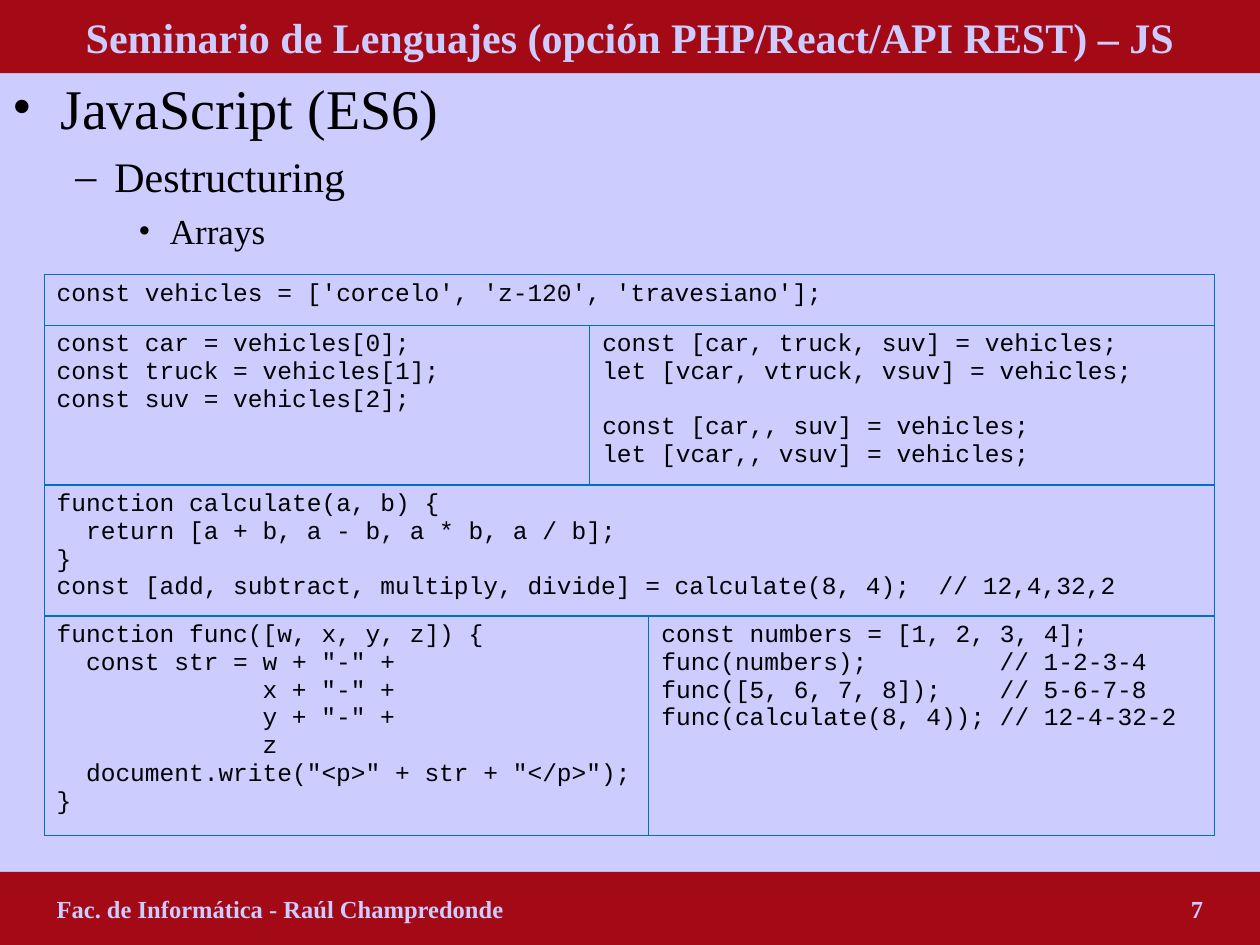
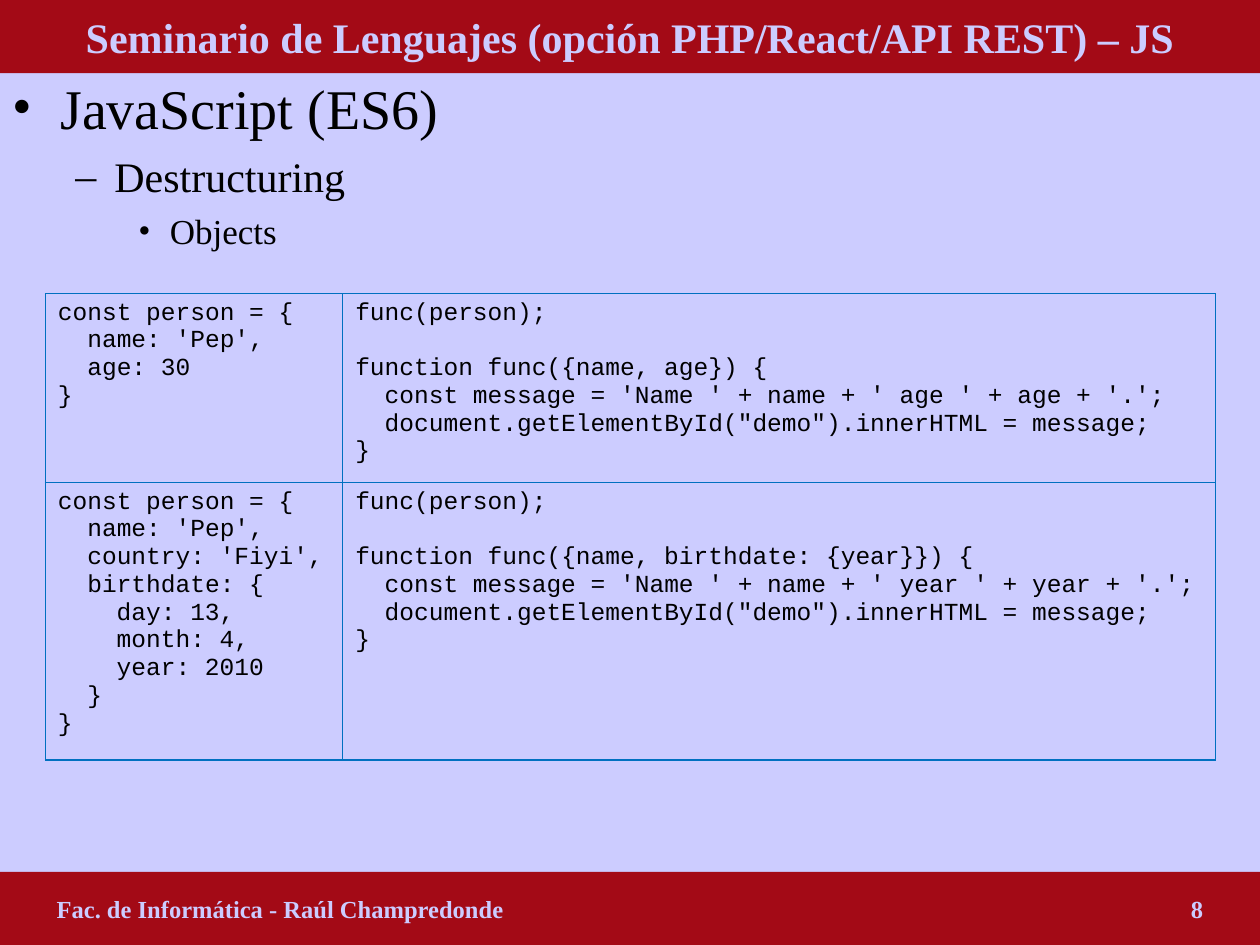
from dataclasses import dataclass
from typing import NamedTuple

from lxml.etree import SubElement
from pptx import Presentation
from pptx.dml.color import RGBColor
from pptx.enum.shapes import MSO_SHAPE as Preset
from pptx.enum.text import MSO_ANCHOR as Anchor, PP_ALIGN as Align
from pptx.oxml.ns import qn
from pptx.util import Inches, Pt

WIDTH, HEIGHT = 10, 7.5
BAND_HEIGHT = 0.58
LAVENDER, CRIMSON, BLACK, BORDER_BLUE = "CCCCFF", "A30A16", "000000", "0070C0"
SERIF, MONO = "Times New Roman", "Courier New"
TITLE = "Seminario de Lenguajes (opción PHP/React/API REST) – JS"
AUTHOR = "Fac. de Informática - Raúl Champredonde"
CODE_SIZE = 14
CHAR_WIDTH = CODE_SIZE * 0.6
LINE_HEIGHT = 15.85


class Level(NamedTuple):
    bullet: str
    size: int
    margin: float
    hang: float
    before: int


LEVELS = (
    Level("•", 32, 0.38, 0.38, 8),
    Level("–", 24, 0.81, 0.31, 6),
    Level("•", 20, 1.25, 0.25, 5),
)


class Line(NamedTuple):
    text: str
    indent: int = 0
    gap: int = 0
    comment_column: int = 0


class Block(NamedTuple):
    row: int
    first: int
    last: int
    lines: tuple[Line, ...]


@dataclass
class CodeTable:
    left: float
    top: float
    columns: tuple[float, ...]
    rows: tuple[float, ...]
    blocks: tuple[Block, ...]


@dataclass
class Lesson:
    number: int
    topic: str
    table: CodeTable


def color(value: str) -> RGBColor:
    return RGBColor.from_string(value)


def add_span(para, text: str, size: int, font: str, ink: str, bold: bool = False) -> None:
    span = para.add_run()
    span.text = text
    span.font.size = Pt(size)
    span.font.name = font
    span.font.bold = bold
    span.font.color.rgb = color(ink)


def add_tab(para, position: int, align: str) -> None:
    tabs = SubElement(para._p.get_or_add_pPr(), qn("a:tabLst"))
    SubElement(tabs, qn("a:tab"), pos=str(position), algn=align)


def add_band(page, top: float):
    band = page.shapes.add_shape(
        Preset.RECTANGLE, 0, Inches(top), Inches(WIDTH), Inches(BAND_HEIGHT))
    band.shadow.inherit = False
    band.fill.solid()
    band.fill.fore_color.rgb = color(CRIMSON)
    band.line.fill.background()
    band.text_frame.vertical_anchor = Anchor.MIDDLE
    return band.text_frame


def add_frame(page, number: int) -> None:
    title = add_band(page, 0).paragraphs[0]
    title.alignment = Align.CENTER
    add_span(title, TITLE, 24, SERIF, LAVENDER, True)

    frame = add_band(page, HEIGHT - BAND_HEIGHT)
    frame.margin_left = Inches(0.45)
    footer = frame.paragraphs[0]
    footer.alignment = Align.LEFT
    add_tab(footer, Inches(WIDTH - 2 * 0.45), "r")
    add_span(footer, f"{AUTHOR}\t{number}", 14, SERIF, LAVENDER, True)


def add_outline(page, topic: str) -> None:
    box = page.shapes.add_textbox(
        0, Inches(BAND_HEIGHT), Inches(WIDTH), Inches(HEIGHT - 2 * BAND_HEIGHT))
    frame = box.text_frame
    frame.word_wrap = True
    frame.margin_top = 0
    headings = ("JavaScript (ES6)", "Destructuring", topic)
    for depth, (level, heading) in enumerate(zip(LEVELS, headings)):
        para = frame.add_paragraph() if depth else frame.paragraphs[0]
        para.level = depth
        para.space_before = Pt(level.before)
        props = para._p.get_or_add_pPr()
        props.set("marL", str(Inches(level.margin)))
        props.set("indent", str(-Inches(level.hang)))
        SubElement(props, qn("a:buFont"), typeface=SERIF)
        SubElement(props, qn("a:buChar"), char=level.bullet)
        add_span(para, heading, level.size, SERIF, BLACK)


def outline_cell(cell) -> None:
    cell.fill.background()
    props = cell._tc.get_or_add_tcPr()
    for index, side in enumerate(("lnL", "lnR", "lnT", "lnB")):
        edge = SubElement(props, qn(f"a:{side}"), w=str(Pt(0.75)))
        fill = SubElement(edge, qn("a:solidFill"))
        SubElement(fill, qn("a:srgbClr"), val=BORDER_BLUE)
        props.insert(index, edge)


def write_code(frame, lines: tuple[Line, ...]) -> None:
    for index, line in enumerate(lines):
        para = frame.add_paragraph() if index else frame.paragraphs[0]
        if line.gap:
            para.space_before = Pt(LINE_HEIGHT * line.gap)
        if line.indent:
            para._p.get_or_add_pPr().set("marL", str(Pt(CHAR_WIDTH * line.indent)))
        if line.comment_column:
            add_tab(para, Pt(CHAR_WIDTH * line.comment_column), "l")
        add_span(para, line.text, CODE_SIZE, MONO, BLACK)


def add_code_table(page, layout: CodeTable) -> None:
    table = page.shapes.add_table(
        len(layout.rows), len(layout.columns), Inches(layout.left), Inches(layout.top),
        Inches(sum(layout.columns)), Inches(sum(layout.rows))).table
    table.first_row = table.horz_banding = False
    for column, width in zip(table.columns, layout.columns):
        column.width = Inches(width)
    for row, height in zip(table.rows, layout.rows):
        row.height = Inches(height)
        for cell in row.cells:
            outline_cell(cell)
    for block in layout.blocks:
        cell = table.cell(block.row, block.first)
        if block.last > block.first:
            cell.merge(table.cell(block.row, block.last))
        write_code(cell.text_frame, block.lines)


ARRAYS = CodeTable(0.35, 2.18, (4.33, 0.47, 4.49), (0.4, 1.27, 1.04, 1.74), (
    Block(0, 0, 2, (Line("const vehicles = ['corcelo', 'z-120', 'travesiano'];"),)),
    Block(1, 0, 0, (
        Line("const car = vehicles[0];"),
        Line("const truck = vehicles[1];"),
        Line("const suv = vehicles[2];"),
    )),
    Block(1, 1, 2, (
        Line("const [car, truck, suv] = vehicles;"),
        Line("let [vcar, vtruck, vsuv] = vehicles;"),
        Line("const [car,, suv] = vehicles;", gap=1),
        Line("let [vcar,, vsuv] = vehicles;"),
    )),
    Block(2, 0, 2, (
        Line("function calculate(a, b) {"),
        Line("return [a + b, a - b, a * b, a / b];", 2),
        Line("}"),
        Line("const [add, subtract, multiply, divide] = calculate(8, 4);\t// 12,4,32,2",
             comment_column=60),
    )),
    Block(3, 0, 1, (
        Line("function func([w, x, y, z]) {"),
        Line('const str = w + "-" +', 2),
        Line('x + "-" +', 14),
        Line('y + "-" +', 14),
        Line("z", 14),
        Line('document.write("<p>" + str + "</p>");', 2),
        Line("}"),
    )),
    Block(3, 2, 2, (
        Line("const numbers = [1, 2, 3, 4];"),
        Line("func(numbers);\t// 1-2-3-4", comment_column=23),
        Line("func([5, 6, 7, 8]);\t// 5-6-7-8", comment_column=23),
        Line("func(calculate(8, 4)); // 12-4-32-2"),
    )),
))


def person_function(row: int, pattern: str, field: str) -> Block:
    return Block(row, 1, 1, (
        Line("func(person);"),
        Line(f"function func({pattern}) {{", gap=1),
        Line(f"const message = 'Name ' + name + ' {field} ' + {field} + '.';", 2),
        Line('document.getElementById("demo").innerHTML = message;', 2),
        Line("}"),
    ))


PERSON_START = (Line("const person = {"), Line("name: 'Pep',", 2))

OBJECTS = CodeTable(0.36, 2.33, (2.36, 6.93), (1.5, 2.2), (
    Block(0, 0, 0, (*PERSON_START, Line("age: 30", 2), Line("}"))),
    person_function(0, "{name, age}", "age"),
    Block(1, 0, 0, (
        *PERSON_START,
        Line("country: 'Fiyi',", 2),
        Line("birthdate: {", 2),
        Line("day: 13,", 4),
        Line("month: 4,", 4),
        Line("year: 2010", 4),
        Line("}", 2),
        Line("}"),
    )),
    person_function(1, "{name, birthdate: {year}}", "year"),
))

LESSONS = (Lesson(7, "Arrays", ARRAYS), Lesson(8, "Objects", OBJECTS))


def main() -> None:
    deck = Presentation()
    deck.slide_width, deck.slide_height = Inches(WIDTH), Inches(HEIGHT)
    for lesson in LESSONS:
        page = deck.slides.add_slide(deck.slide_layouts[6])
        page.background.fill.solid()
        page.background.fill.fore_color.rgb = color(LAVENDER)
        add_outline(page, lesson.topic)
        add_frame(page, lesson.number)
        add_code_table(page, lesson.table)
    deck.save("out.pptx")


if __name__ == "__main__":
    main()
